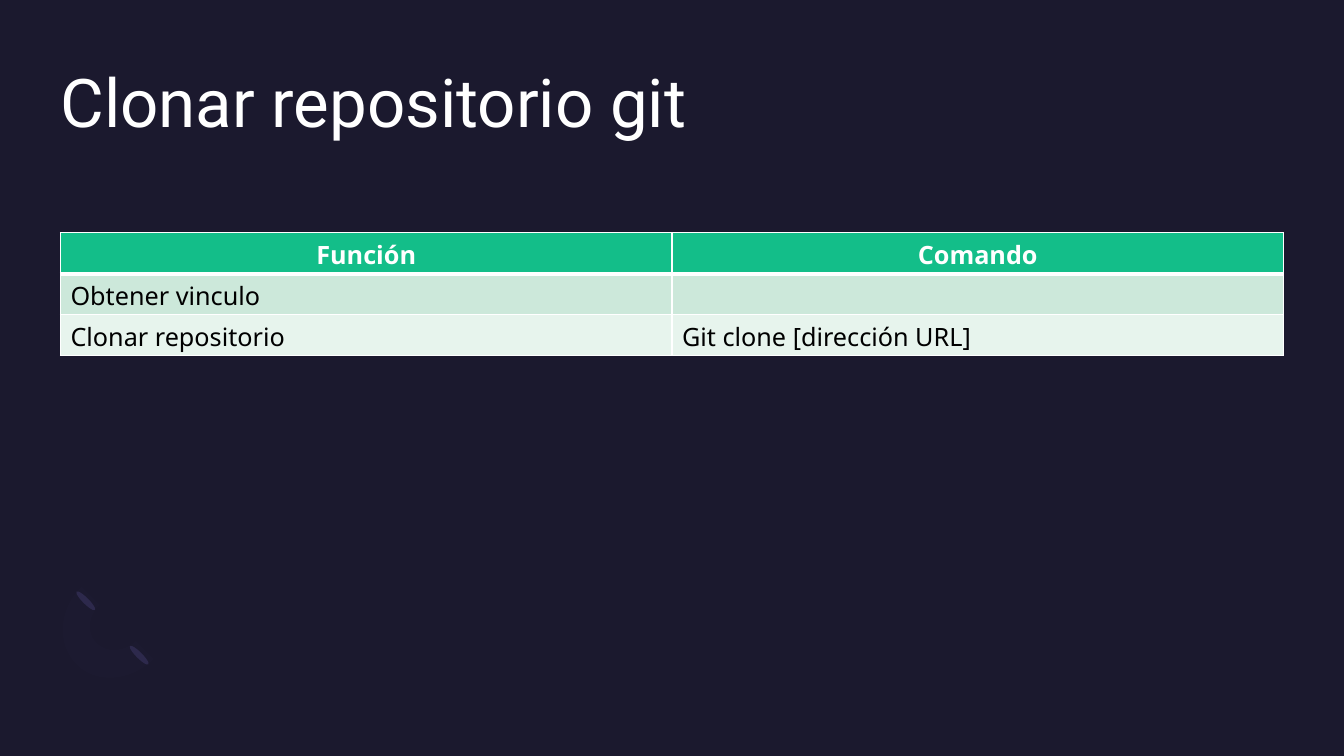
"""Build the slide that shows how to clone a git repository."""
import pptx
import pptx.util
import pptx.dml.color
import pptx.enum.shapes
import pptx.enum.text
import pptx.oxml
import pptx.oxml.ns

Inches = pptx.util.Inches
THEME = {
    "background": "1B192E", "ring": "7771B2", "ring_end": "2C284A",
    "header": "13BE89", "bands": ["CCE8DA", "E7F4ED"],
    "light": "FFFFFF", "dark": "000000",
    "title_font": "Roboto", "body_font": "Noto Sans",
    "title_size": 48, "body_size": 18,
}


def paint(fill, color):
    fill.solid()
    fill.fore_color.rgb = pptx.dml.color.RGBColor.from_string(color)


def write(frame, text, font=THEME["body_font"], size=THEME["body_size"],
          color=THEME["dark"], bold=False, align="LEFT"):
    paragraph = frame.paragraphs[0]
    paragraph.alignment = getattr(pptx.enum.text.PP_ALIGN, align)
    run = paragraph.add_run()
    run.text = text
    run.font.name = font
    run.font.size = pptx.util.Pt(size)
    run.font.bold = bold
    paint(run.font.fill, color)


deck = pptx.Presentation()
deck.slide_width, deck.slide_height = Inches(13.33), Inches(7.5)
slide = deck.slides.add_slide(deck.slide_layouts[6])
paint(slide.background.fill, THEME["background"])

for left, top in [(1.35, 6.37), (0.82, 5.83)]:
    ring_end = slide.shapes.add_shape(
        pptx.enum.shapes.MSO_SHAPE.OVAL,
        Inches(left), Inches(top), Inches(0.06), Inches(0.26))
    ring_end.rotation = 135
    ring_end.shadow.inherit = False
    paint(ring_end.fill, THEME["ring_end"])
    ring_end.line.fill.background()

ring_curves = [
    [(0.76, 6.59), (0.56, 6.39), (0.58, 6.05), (0.81, 5.82)],
    [(0.99, 6), (0.87, 6.11), (0.86, 6.29), (0.96, 6.38)],
    [(0.96, 6.38), (1.06, 6.48), (1.23, 6.47), (1.35, 6.36)],
    [(1.52, 6.54), (1.3, 6.76), (0.95, 6.79), (0.76, 6.59)],
]
steps = 12
ring_points = []
for curve in ring_curves:
    for step in range(steps + 1):
        t = step / steps
        weights = [(1 - t) ** 3, 3 * t * (1 - t) ** 2, 3 * t ** 2 * (1 - t), t ** 3]
        ring_points.append(tuple(
            Inches(sum(w * point[axis] for w, point in zip(weights, curve)))
            for axis in (0, 1)))
outline = slide.shapes.build_freeform(*ring_points[0])
outline.add_line_segments(ring_points[1:], close=True)
ring = outline.convert_to_shape()
ring.shadow.inherit = False
paint(ring.fill, THEME["ring"])
ring.line.fill.background()
ring_color = ring._element.spPr.find(".//" + pptx.oxml.ns.qn("a:srgbClr"))
ring_color.append(pptx.oxml.parse_xml(
    f'<a:alpha {pptx.oxml.ns.nsdecls("a")} val="2000"/>'))

title = slide.shapes.add_textbox(
    Inches(0.6), Inches(0.6), Inches(12.13), Inches(1.46)).text_frame
title.word_wrap = True
title.margin_left = title.margin_right = title.margin_top = title.margin_bottom = 0
write(title, "Clonar repositorio git", font=THEME["title_font"],
      size=THEME["title_size"], color=THEME["light"])

commands = [
    ("Función", "Comando"),
    ("Obtener vinculo", ""),
    ("Clonar repositorio", "Git clone [dirección URL]"),
]
table = slide.shapes.add_table(
    len(commands), 2, Inches(0.6), Inches(2.31), Inches(12.13), Inches(1.22)).table
table.horz_banding = False
for row, texts in enumerate(commands):
    header = row == 0
    for column, text in enumerate(texts):
        cell = table.cell(row, column)
        widths = {"L": 1, "R": 1, "T": 3 if row == 1 else 1, "B": 3 if header else 1}
        for side, width in widths.items():
            cell._tc.get_or_add_tcPr().append(pptx.oxml.parse_xml(
                f'<a:ln{side} {pptx.oxml.ns.nsdecls("a")} w="{pptx.util.Pt(width)}">'
                f'<a:solidFill><a:srgbClr val="{THEME["light"]}"/></a:solidFill>'
                f'</a:ln{side}>'))
        paint(cell.fill, THEME["header"] if header else THEME["bands"][row - 1])
        if text:
            write(cell.text_frame, text, bold=header,
                  color=THEME["light"] if header else THEME["dark"],
                  align="CENTER" if header else "LEFT")

deck.save("out.pptx")
